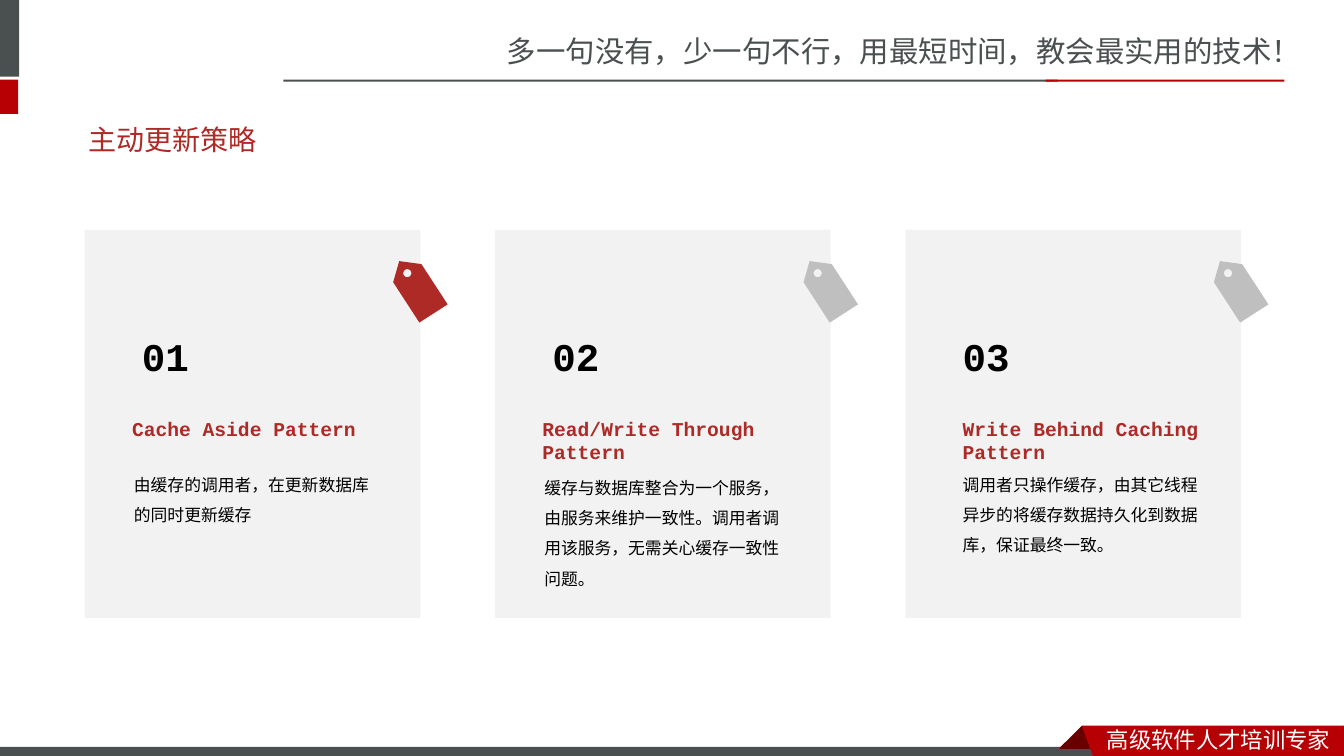
"""Build the slide about active cache update strategies."""
import dataclasses
import math

import lxml.etree
import pptx
import pptx.dml.color
import pptx.enum.shapes
import pptx.enum.text
import pptx.oxml.ns
import pptx.slide
import pptx.util

Inches = pptx.util.Inches
RGBColor = pptx.dml.color.RGBColor
Anchor = pptx.enum.text.MSO_ANCHOR
Point = tuple[float, float]

SLATE = RGBColor(0x49, 0x50, 0x4F)
RED = RGBColor(0xB6, 0x00, 0x04)
DARK_RED = RGBColor(0x68, 0x00, 0x00)
BRICK = RGBColor(0xAD, 0x2A, 0x26)
CARD_GRAY = RGBColor(0xF2, 0xF2, 0xF2)
TAG_GRAY = RGBColor(0xBF, 0xBF, 0xBF)
BLACK = RGBColor(0, 0, 0)
WHITE = RGBColor(0xFF, 0xFF, 0xFF)
CJK_FONT = "Noto Sans CJK SC"
CODE_FONT = "Courier New"

CARD_LEFT, CARD_TOP, CARD_PITCH = 0.84, 2.28, 4.07
CARD_WIDTH, CARD_HEIGHT = 3.33, 3.85
TAG_OUTLINE = [(3.12, 0.31), (3.34, 0.34), (3.6, 0.74), (3.32, 0.92), (3.06, 0.52)]
HOLE_CENTER, HOLE_RADIUS, HOLE_SIDES = (3.2, 0.43), 0.04, 32


@dataclasses.dataclass(frozen=True)
class Bar:
    left: float
    top: float
    width: float
    height: float
    color: RGBColor


@dataclasses.dataclass(frozen=True)
class Label:
    text: str
    left: float
    top: float
    width: float
    height: float
    size: float
    color: RGBColor
    font: str = CJK_FONT
    bold: bool = False
    anchor: Anchor = Anchor.TOP
    inset: float = 0.1
    spacing: float = 1.0


@dataclasses.dataclass(frozen=True)
class Card:
    heading: str
    heading_height: float
    heading_inset: float
    body: str
    body_offset: float
    body_top: float
    body_height: float
    tag_color: RGBColor


BARS = [
    Bar(0, 0, 0.19, 0.76, SLATE),
    Bar(0, 0.79, 0.18, 0.34, RED),
    Bar(2.81, 0.79, 7.68, 0.02, SLATE),
    Bar(10.37, 0.79, 2.37, 0.02, RED),
    Bar(0, 7.41, 10.95, 0.09, SLATE),
]
RIBBON_FOLD = [(10.73, 7.2), (10.95, 7.42), (10.94, 7.43), (10.52, 7.43), (10.51, 7.42)]
RIBBON = [(10.73, 7.2), (13.33, 7.2), (13.33, 7.5), (10.84, 7.5)]
LABELS = [
    Label("多一句没有，少一句不行，用最短时间，教会最实用的技术！", 4.93, 0.28, 8.4, 0.47, 21, SLATE),
    Label("高级软件人才培训专家", 10.88, 7.15, 2.45, 0.37, 16, WHITE),
    Label("主动更新策略", 0.78, 1.16, 11.7, 0.44, 20, BRICK, "Arial", anchor=Anchor.MIDDLE),
]
CARDS = [
    Card("Cache Aside Pattern", 0.34, 0,
         "由缓存的调用者，在更新数据库的同时更新缓存", 0.39, 4.56, 0.68, BRICK),
    Card("Read/Write Through Pattern", 0.57, 0,
         "缓存与数据库整合为一个服务，由服务来维护一致性。调用者调用该服务，无需关心缓存一致性问题。",
         0.39, 4.59, 1.28, TAG_GRAY),
    Card("Write Behind Caching Pattern", 0.57, 0.1,
         "调用者只操作缓存，由其它线程异步的将缓存数据持久化到数据库，保证最终一致。",
         0.47, 4.56, 0.98, TAG_GRAY),
]


def draw_bar(page: pptx.slide.Slide, bar: Bar) -> None:
    shape = page.shapes.add_shape(
        pptx.enum.shapes.MSO_SHAPE.RECTANGLE,
        Inches(bar.left), Inches(bar.top), Inches(bar.width), Inches(bar.height))
    shape.shadow.inherit = False
    shape.fill.solid()
    shape.fill.fore_color.rgb = bar.color
    shape.line.fill.background()


def draw_outline(page: pptx.slide.Slide, contours: list[list[Point]], color: RGBColor) -> None:
    scaled = [[(Inches(x), Inches(y)) for x, y in contour] for contour in contours]
    builder = page.shapes.build_freeform(*scaled[0][0])
    builder.add_line_segments(scaled[0][1:])
    for contour in scaled[1:]:
        builder.move_to(*contour[0])
        builder.add_line_segments(contour[1:])
    shape = builder.convert_to_shape()
    shape.shadow.inherit = False
    shape.fill.solid()
    shape.fill.fore_color.rgb = color
    shape.line.fill.background()


def draw_label(page: pptx.slide.Slide, label: Label) -> None:
    box = page.shapes.add_textbox(
        Inches(label.left), Inches(label.top), Inches(label.width), Inches(label.height))
    frame = box.text_frame
    frame.word_wrap = True
    frame.vertical_anchor = label.anchor
    frame.margin_left = frame.margin_right = Inches(label.inset)
    para = frame.paragraphs[0]
    para.text = label.text
    para.line_spacing = label.spacing
    para.font.size = pptx.util.Pt(label.size)
    para.font.bold = label.bold
    para.font.color.rgb = label.color
    para.font.name = label.font
    defaults = para._p.pPr.find(pptx.oxml.ns.qn("a:defRPr"))
    lxml.etree.SubElement(defaults, pptx.oxml.ns.qn("a:ea"), typeface=CJK_FONT)


def draw_card(page: pptx.slide.Slide, index: int, card: Card) -> None:
    left = CARD_LEFT + index * CARD_PITCH
    draw_bar(page, Bar(left, CARD_TOP, CARD_WIDTH, CARD_HEIGHT, CARD_GRAY))
    angles = [-math.tau * side / HOLE_SIDES for side in range(HOLE_SIDES)]
    hole = [(HOLE_CENTER[0] + HOLE_RADIUS * math.cos(angle),
             HOLE_CENTER[1] + HOLE_RADIUS * math.sin(angle)) for angle in angles]
    tag = [[(left + x, CARD_TOP + y) for x, y in contour] for contour in (TAG_OUTLINE, hole)]
    draw_outline(page, tag, card.tag_color)
    text_left = left + 0.47
    draw_label(page, Label(f"{index + 1:02d}", text_left, 3.25, 2.56, 0.57, 28, BLACK,
                           CODE_FONT, True, Anchor.MIDDLE))
    draw_label(page, Label(card.heading, text_left, 4.08, 2.56, card.heading_height, 14, BRICK,
                           CODE_FONT, True, Anchor.MIDDLE, card.heading_inset))
    draw_label(page, Label(card.body, left + card.body_offset, card.body_top, 2.56,
                           card.body_height, 12, BLACK, CODE_FONT, spacing=1.5))


def main() -> None:
    deck = pptx.Presentation()
    deck.slide_width, deck.slide_height = Inches(13.33), Inches(7.5)
    page = deck.slides.add_slide(deck.slide_layouts[6])
    for bar in BARS:
        draw_bar(page, bar)
    draw_outline(page, [RIBBON_FOLD], DARK_RED)
    draw_outline(page, [RIBBON], RED)
    for index, card in enumerate(CARDS):
        draw_card(page, index, card)
    for label in LABELS:
        draw_label(page, label)
    deck.save("out.pptx")


if __name__ == "__main__":
    main()
